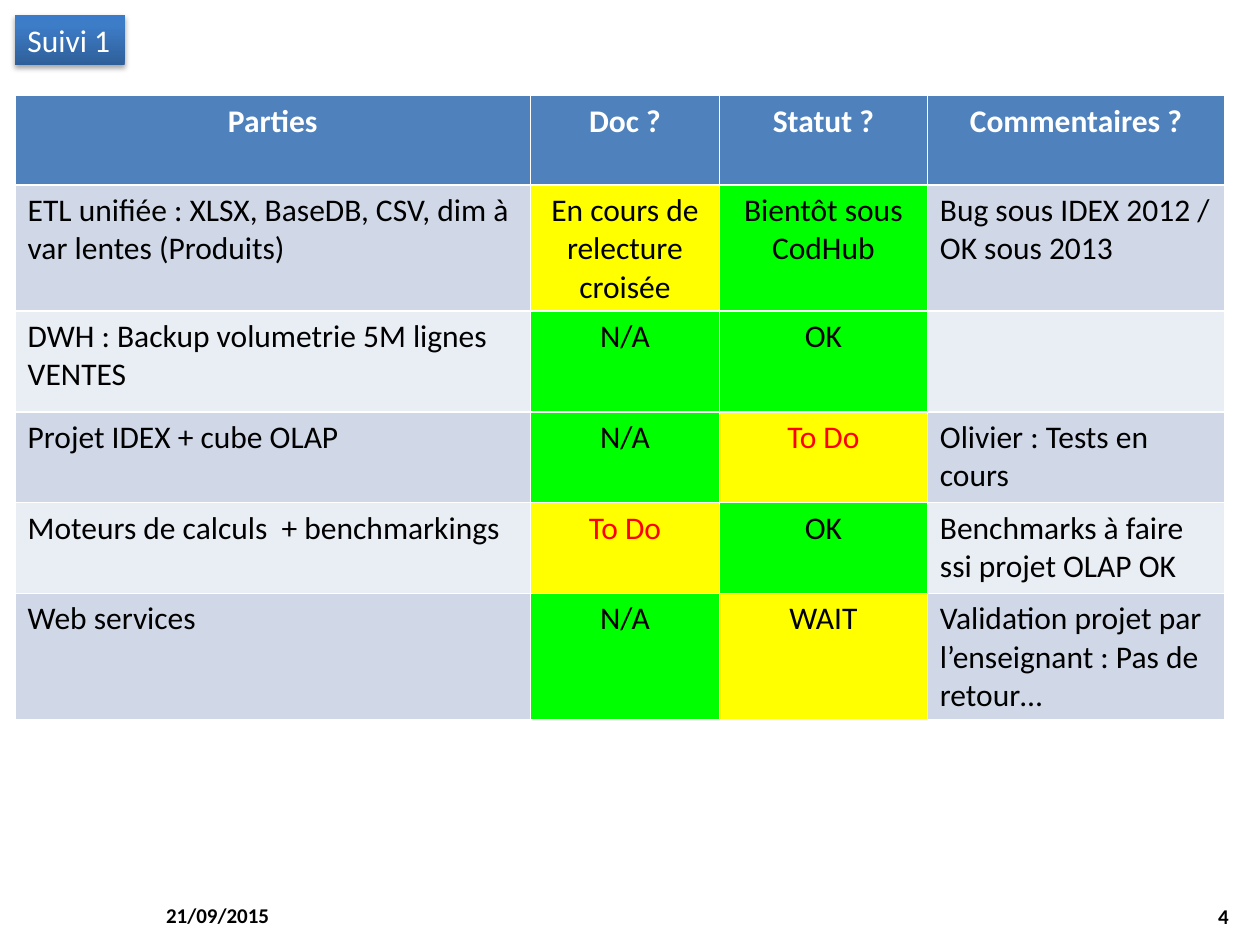
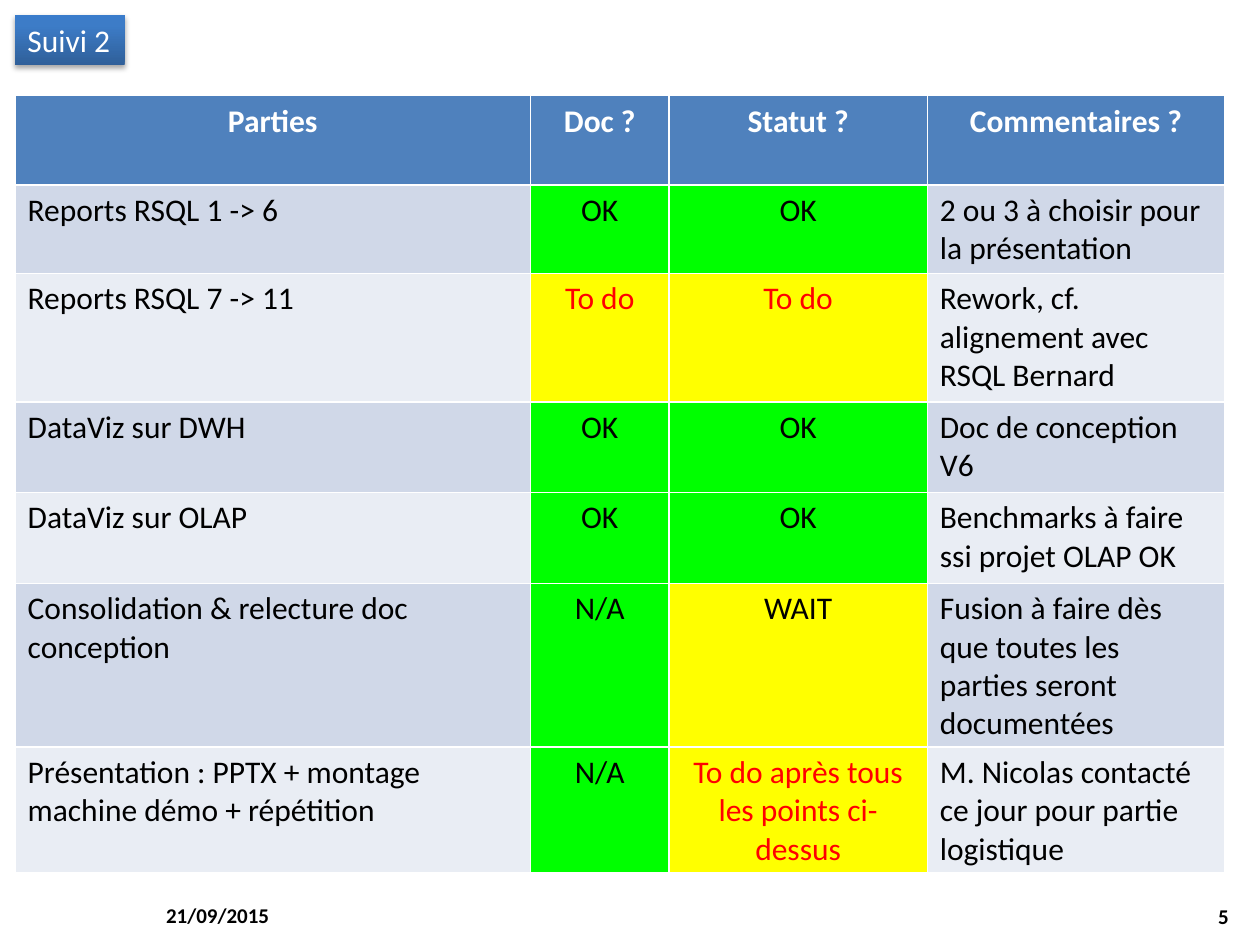
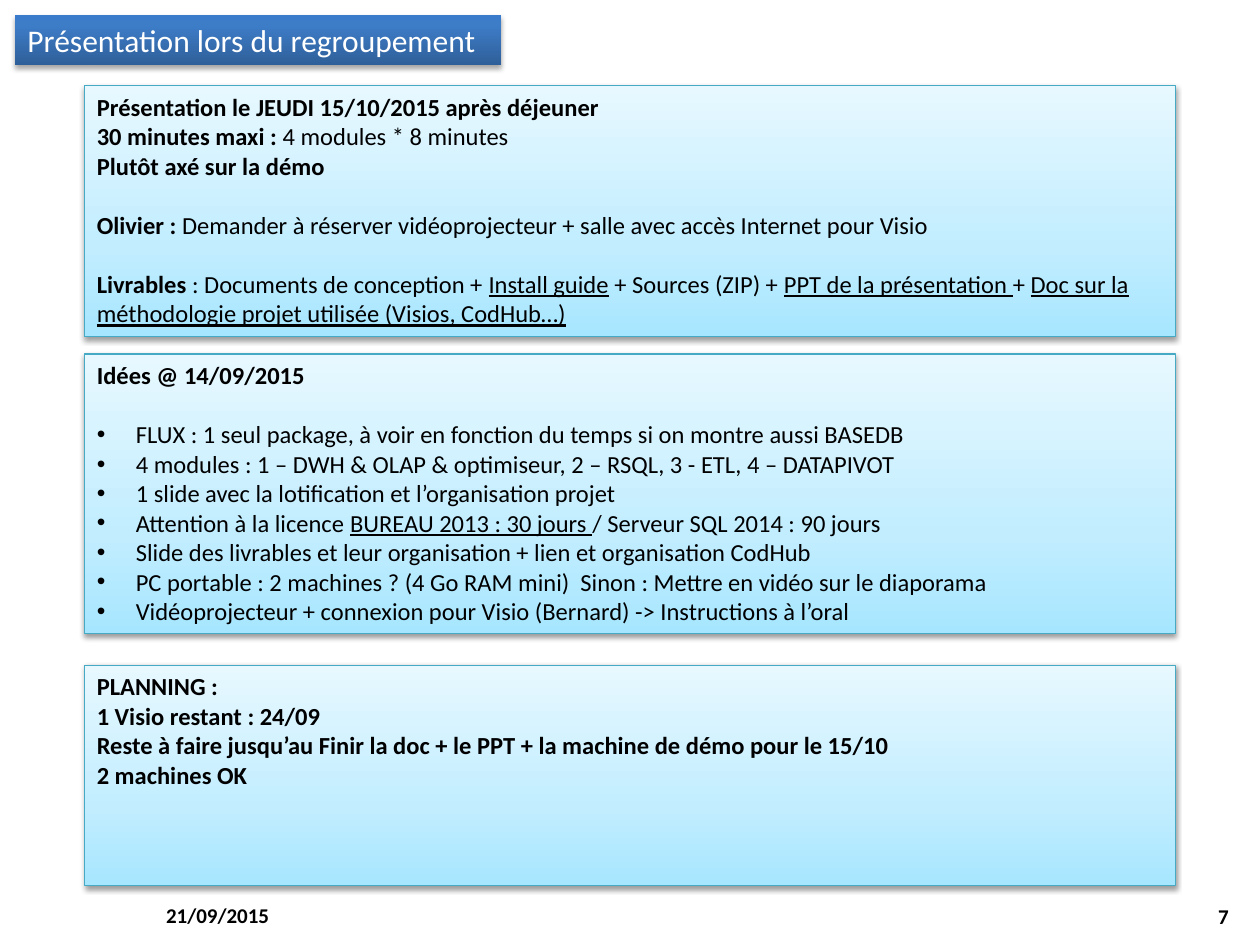
from dataclasses import dataclass

from pptx import Presentation
from pptx.dml.color import RGBColor
from pptx.enum.shapes import MSO_SHAPE
from pptx.enum.text import MSO_ANCHOR, PP_ALIGN
from pptx.oxml import parse_xml
from pptx.oxml.ns import nsdecls
from pptx.util import Inches, Pt

FONT = "Calibri"
BLACK, WHITE, RED = "000000", "FFFFFF", "FF0000"
GREEN, YELLOW = "00FF00", "FFFF00"
HEADER_BLUE = "4F81BD"
ROW_BANDS = ("D0D8E8", "E9EDF4")
BOX_LINE = "46AAC5"
TITLE_GRADIENT = ((0, "2F5F99"), (80, "3D7CC7"), (100, "3A7CCB"))
BOX_GRADIENT = ((0, "A7E6FF"), (35, "C1EDFF"), (100, "E7F8FF"))
DATE = "21/09/2015"
HEADERS = ("Parties", "Doc ?", "Statut ?", "Commentaires ?")
DONE = ("OK", "N/A", "Bientôt sous CodHub")

FOLLOW_UP_1 = (
    ("ETL unifiée : XLSX, BaseDB, CSV, dim à var lentes (Produits)",
     "En cours de relecture croisée", "Bientôt sous CodHub",
     "Bug sous IDEX 2012 / OK sous 2013"),
    ("DWH : Backup volumetrie 5M lignes VENTES", "N/A", "OK", ""),
    ("Projet IDEX + cube OLAP", "N/A", "To Do", "Olivier : Tests en cours"),
    ("Moteurs de calculs  + benchmarkings", "To Do", "OK",
     "Benchmarks à faire ssi projet OLAP OK"),
    ("Web services", "N/A", "WAIT",
     "Validation projet par l’enseignant : Pas de retour…"),
)
FOLLOW_UP_2 = (
    ("Reports RSQL 1 -> 6", "OK", "OK", "2 ou 3 à choisir pour la présentation"),
    ("Reports RSQL 7 -> 11", "To do", "To do",
     "Rework, cf. alignement avec RSQL Bernard"),
    ("DataViz sur DWH", "OK", "OK", "Doc de conception V6"),
    ("DataViz sur OLAP", "OK", "OK", "Benchmarks à faire ssi projet OLAP OK"),
    ("Consolidation & relecture doc conception", "N/A", "WAIT",
     "Fusion à faire dès que toutes les parties seront documentées"),
    ("Présentation : PPTX + montage machine démo + répétition", "N/A",
     "To do après tous les points ci-dessus",
     "M. Nicolas contacté ce jour pour partie logistique"),
)


@dataclass
class Line:
    """A paragraph made of (text, style) runs; style holds b (bold) or u (underline)."""
    runs: tuple
    gap: bool = False
    bullet: bool = False


def bold(text):
    return Line(((text, "b"),))


def bullet(*runs, gap=False):
    return Line(runs, gap, True)


MEETING = (
    bold("Présentation le JEUDI 15/10/2015 après déjeuner"),
    Line((("30 minutes maxi : ", "b"), ("4 modules * 8 minutes", ""))),
    bold("Plutôt axé sur la démo"),
    Line((("Olivier : ", "b"),
          ("Demander à réserver vidéoprojecteur + salle avec accès Internet pour Visio", "")),
         gap=True),
    Line((("Livrables", "b"), (" : Documents de conception + ", ""),
          ("Install guide", "u"), (" + Sources (ZIP) + ", ""),
          ("PPT de la présentation ", "u"), ("+ ", ""),
          ("Doc sur la méthodologie projet utilisée (Visios, CodHub…)", "u")),
         gap=True),
)
IDEAS = (
    bold("Idées @ 14/09/2015"),
    bullet(("FLUX : 1 seul package, à voir en fonction du temps si on montre aussi BASEDB", ""),
           gap=True),
    bullet(("4 modules : 1 – DWH & OLAP & optimiseur, 2 – RSQL, 3 - ETL, 4 – DATAPIVOT", "")),
    bullet(("1 slide avec la lotification et l’organisation projet", "")),
    bullet(("Attention à la licence ", ""), ("BUREAU 2013 : 30 jours ", "u"),
           ("/ Serveur SQL 2014 : 90 jours", "")),
    bullet(("Slide des livrables et leur organisation + lien et organisation CodHub", "")),
    bullet(("PC portable : 2 machines ? (4 Go RAM mini)  Sinon : "
            "Mettre en vidéo sur le diaporama", "")),
    bullet(("Vidéoprojecteur + connexion pour Visio (Bernard) -> Instructions à l’oral", "")),
)
PLANNING = (
    bold("PLANNING :"),
    bold("1 Visio restant : 24/09"),
    bold("Reste à faire jusqu’au Finir la doc + le PPT + la machine de démo pour le 15/10"),
    bold("2 machines OK"),
)


def rgb(value):
    return RGBColor.from_string(value)


def add_run(paragraph, text, size, color=BLACK, style=""):
    run = paragraph.add_run()
    run.text = text
    run.font.name = FONT
    run.font.size = Pt(size)
    run.font.color.rgb = rgb(color)
    run.font.bold = "b" in style
    run.font.underline = "u" in style


def add_panel(slide, box, gradient, shadow_alpha, shadow_distance):
    """Add a rectangle with a gradient rising from its bottom edge and a soft shadow."""
    shape = slide.shapes.add_shape(MSO_SHAPE.RECTANGLE, *map(Inches, box))
    stops = "".join(
        f'<a:gs pos="{position * 1000}"><a:srgbClr val="{color}"/></a:gs>'
        for position, color in gradient)
    properties = shape.fill._xPr
    properties.insert(2, parse_xml(
        f'<a:gradFill {nsdecls("a")} rotWithShape="1"><a:gsLst>{stops}</a:gsLst>'
        '<a:lin ang="16200000" scaled="0"/></a:gradFill>'))
    shape.line.fill.background()
    shape.shadow.inherit = False
    properties.find(
        "{http://schemas.openxmlformats.org/drawingml/2006/main}effectLst"
    ).append(parse_xml(
        f'<a:outerShdw {nsdecls("a")} blurRad="{Pt(3.1)}" dist="{Pt(shadow_distance)}" '
        f'dir="5400000" rotWithShape="0"><a:srgbClr val="{BLACK}">'
        f'<a:alpha val="{shadow_alpha * 1000}"/></a:srgbClr></a:outerShdw>'))
    shape.text_frame.vertical_anchor = MSO_ANCHOR.TOP
    return shape


def add_title(slide, text, width):
    shape = add_panel(slide, (0.12, 0.12, width, 0.4), TITLE_GRADIENT, 35, 1.8)
    shape.text_frame.word_wrap = False
    paragraph = shape.text_frame.paragraphs[0]
    paragraph.alignment = PP_ALIGN.LEFT
    add_run(paragraph, text, 18, WHITE)


def add_footer(slide, number):
    for left, top, text, alignment in (
            (1.22, 7.06, DATE, PP_ALIGN.LEFT),
            (7.52, 7.07, str(number), PP_ALIGN.RIGHT)):
        footer = slide.shapes.add_textbox(
            Inches(left), Inches(top), Inches(2.33), Inches(0.4))
        footer.text_frame.word_wrap = True
        footer.text_frame.vertical_anchor = MSO_ANCHOR.MIDDLE
        paragraph = footer.text_frame.paragraphs[0]
        paragraph.alignment = alignment
        add_run(paragraph, text, 12, style="b")


def fill_cell(cell, text, fill, color=BLACK, centred=False, style=""):
    cell.fill.solid()
    cell.fill.fore_color.rgb = rgb(fill)
    paragraph = cell.text_frame.paragraphs[0]
    if centred:
        paragraph.alignment = PP_ALIGN.CENTER
    if text:
        add_run(paragraph, text, 18, color, style)
    else:
        paragraph.font.size = Pt(18)


def add_status_table(slide, box, rows, column_widths, row_heights):
    table = slide.shapes.add_table(
        len(rows) + 1, len(HEADERS), *map(Inches, box)).table
    for column, width in zip(table.columns, column_widths):
        column.width = Inches(width)
    for row, height in zip(table.rows, row_heights):
        row.height = Inches(height)
    for column_index, header in enumerate(HEADERS):
        fill_cell(table.cell(0, column_index), header, HEADER_BLUE, WHITE, True, "b")
    for row_index, texts in enumerate(rows, 1):
        band = ROW_BANDS[(row_index - 1) % 2]
        for column_index, text in enumerate(texts):
            is_status = column_index in (1, 2)
            fill = (GREEN if text in DONE else YELLOW) if is_status else band
            color = RED if is_status and text.lower().startswith("to do") else BLACK
            fill_cell(table.cell(row_index, column_index), text, fill, color, is_status)


def add_notes_box(slide, box, lines):
    shape = add_panel(slide, box, BOX_GRADIENT, 38, 1.6)
    shape.line.color.rgb = rgb(BOX_LINE)
    shape.line.width = Pt(0.75)
    frame = shape.text_frame
    frame.word_wrap = True
    for index, line in enumerate(lines):
        paragraph = frame.add_paragraph() if index else frame.paragraphs[0]
        paragraph.alignment = PP_ALIGN.LEFT
        if line.gap:
            paragraph.space_before = Pt(17)
        if line.bullet:
            properties = paragraph._p.get_or_add_pPr()
            properties.set("marL", str(Inches(0.31)))
            properties.set("indent", str(Inches(-0.31)))
            properties.append(parse_xml(f'<a:buFont {nsdecls("a")} typeface="Arial"/>'))
            properties.append(parse_xml(f'<a:buChar {nsdecls("a")} char="•"/>'))
        for text, style in line.runs:
            add_run(paragraph, text, 14, style=style)


def add_slide(presentation, title, title_width, number):
    slide = presentation.slides.add_slide(presentation.slide_layouts[6])
    add_footer(slide, number)
    add_title(slide, title, title_width)
    return slide


def main():
    presentation = Presentation()
    presentation.slide_width = Inches(10)
    presentation.slide_height = Inches(7.5)

    slide = add_slide(presentation, "Suivi 1", 0.87, 4)
    add_status_table(slide, (0.12, 0.76, 9.6, 4.95), FOLLOW_UP_1,
                     (4.09, 1.5, 1.65, 2.36), (0.71, 0.87, 0.8, 0.72, 0.72, 0.72))

    slide = add_slide(presentation, "Suivi 2", 0.87, 5)
    add_status_table(slide, (0.12, 0.76, 9.6, 6.18), FOLLOW_UP_2,
                     (4.09, 1.1, 2.05, 2.36), (0.71, 0.63, 1.02, 0.72, 0.72, 0.72, 0.72))

    slide = add_slide(presentation, "Présentation lors du regroupement", 3.86, 7)
    for top, height, lines in (
            (0.68, 1.99, MEETING), (2.81, 2.22, IDEAS), (5.28, 1.75, PLANNING)):
        add_notes_box(slide, (0.67, top, 8.66, height), lines)

    presentation.save("out.pptx")


if __name__ == "__main__":
    main()
